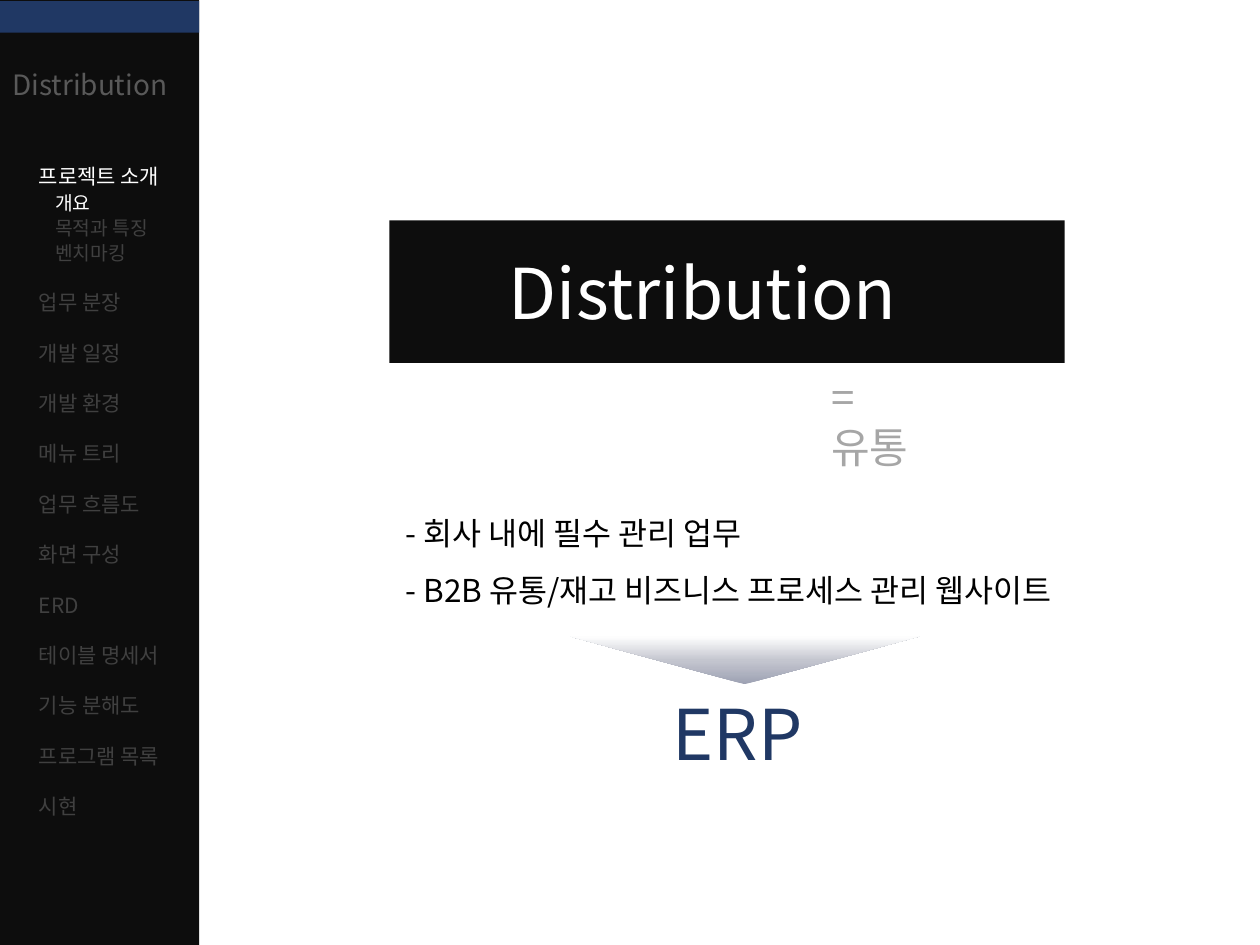
from copy import deepcopy
from dataclasses import dataclass

from lxml import etree
from pptx import Presentation
from pptx.dml.color import RGBColor
from pptx.enum.shapes import MSO_SHAPE
from pptx.oxml.ns import qn
from pptx.util import Inches, Pt

RECT = MSO_SHAPE.RECTANGLE
TRIANGLE = MSO_SHAPE.ISOSCELES_TRIANGLE


@dataclass(frozen=True)
class Theme:
    font: str = "Noto Sans CJK KR"
    panel: str = "0D0D0D"
    accent: str = "203864"
    light: str = "FFFFFF"
    dark: str = "000000"
    grey: str = "A6A6A6"
    brand: str = "595959"
    muted: str = "404040"
    arrow: tuple = ((0, "9DA1B3"), (0.5, "C4C6CF"), (1, "FFFFFF"))
    title: int = 40
    subtitle: int = 24
    body: int = 18
    brand_size: int = 16
    menu: int = 12
    submenu: int = 11


T = Theme()
SUBMENU = ["개요", "목적과 특징", "벤치마킹"]
MENU = ["업무 분장", "개발 일정", "개발 환경", "메뉴 트리", "업무 흐름도", "화면 구성",
        "ERD", "테이블 명세서", "기능 분해도", "프로그램 목록", "시현"]
POINTS = ["- 회사 내에 필수 관리 업무", "- B2B 유통/재고 비즈니스 프로세스 관리 웹사이트"]


def add_plain(slide, kind, x, y, w, h):
    sp = slide.shapes.add_shape(kind, Inches(x), Inches(y), Inches(w), Inches(h))
    sp.shadow.inherit = False
    sp.line.fill.background()
    return sp


def add_block(slide, x, y, w, h, color):
    sp = add_plain(slide, RECT, x, y, w, h)
    sp.fill.solid()
    sp.fill.fore_color.rgb = RGBColor.from_string(color)


def add_text(slide, x, y, w, h, lines):
    """Each line is (text, size, color, line spacing, left indent)."""
    box = slide.shapes.add_textbox(Inches(x), Inches(y), Inches(w), Inches(h))
    tf = box.text_frame
    tf.word_wrap = True
    for i, (text, size, color, spacing, indent) in enumerate(lines):
        p = tf.add_paragraph() if i else tf.paragraphs[0]
        p.line_spacing = spacing
        if indent:
            p._p.get_or_add_pPr().set("marL", str(Inches(indent)))
        r = p.add_run()
        r.text = text
        r.font.size = Pt(size)
        r.font.name = T.font
        r.font.color.rgb = RGBColor.from_string(color)
        ea = etree.SubElement(r._r.get_or_add_rPr(), qn("a:ea"))
        ea.set("typeface", T.font)


def add_down_arrow(slide, x, y, w, h):
    sp = add_plain(slide, TRIANGLE, x, y, w, h)
    sp.rotation = 180
    sp.fill.gradient()
    sp.fill.gradient_angle = 270
    # A new gradient has two stops; a third is needed in the middle
    stops = sp._element.spPr.find(qn("a:gradFill")).find(qn("a:gsLst"))
    stops.insert(1, deepcopy(stops[0]))
    for stop, (position, color) in zip(sp.fill.gradient_stops, T.arrow):
        stop.position = position
        stop.color.rgb = RGBColor.from_string(color)


def add_sidebar(slide, x, y, w, h):
    add_block(slide, x, y, w, h, T.panel)
    add_block(slide, x, y + 0.01, w, 0.25, T.accent)
    add_text(slide, x, y + 0.49, w, 0.37,
             [("Distribution", T.brand_size, T.brand, 1, 0)])

    # Menu with the current entry highlighted
    lines = [("프로젝트 소개", T.menu, T.light, 1, 0)]
    for i, text in enumerate(SUBMENU):
        color = T.muted if i else T.light
        lines.append((text, T.submenu, color, Pt(14.4), 0.13))
    lines += [(text, T.menu, T.muted, 2, 0) for text in MENU]
    add_text(slide, x + 0.21, y + 1.25, w - 0.21, 5.35, lines)


def add_content(slide, x, y, w):
    # Title banner and its meaning
    add_block(slide, x, y, w, 1.13, T.panel)
    add_text(slide, x + 0.85, y + 0.18, 3.65, 0.77,
             [("Distribution", T.title, T.light, 1, 0)])
    add_text(slide, x + 3.41, y + 1.15, 1, 0.9,
             [("= 유통", T.subtitle, T.grey, 1, 0)])

    # Key points leading to the conclusion
    add_text(slide, x + 0.03, y + 2.13, w + 0.54, 1.01,
             [(text, T.body, T.dark, 1.5, 0) for text in POINTS])
    add_down_arrow(slide, x + 1.43, y + 3.3, 2.78, 0.38)
    add_text(slide, x + 2.15, y + 3.68, 1.34, 0.77,
             [("ERP", T.title, T.accent, 1, 0)])


def main():
    prs = Presentation()
    prs.slide_width, prs.slide_height = Inches(10), Inches(7.5)
    slide = prs.slides.add_slide(prs.slide_layouts[6])
    add_sidebar(slide, 0, 0, 1.58, 7.5)
    add_content(slide, 3.09, 1.75, 5.36)
    prs.save("out.pptx")


if __name__ == "__main__":
    main()
